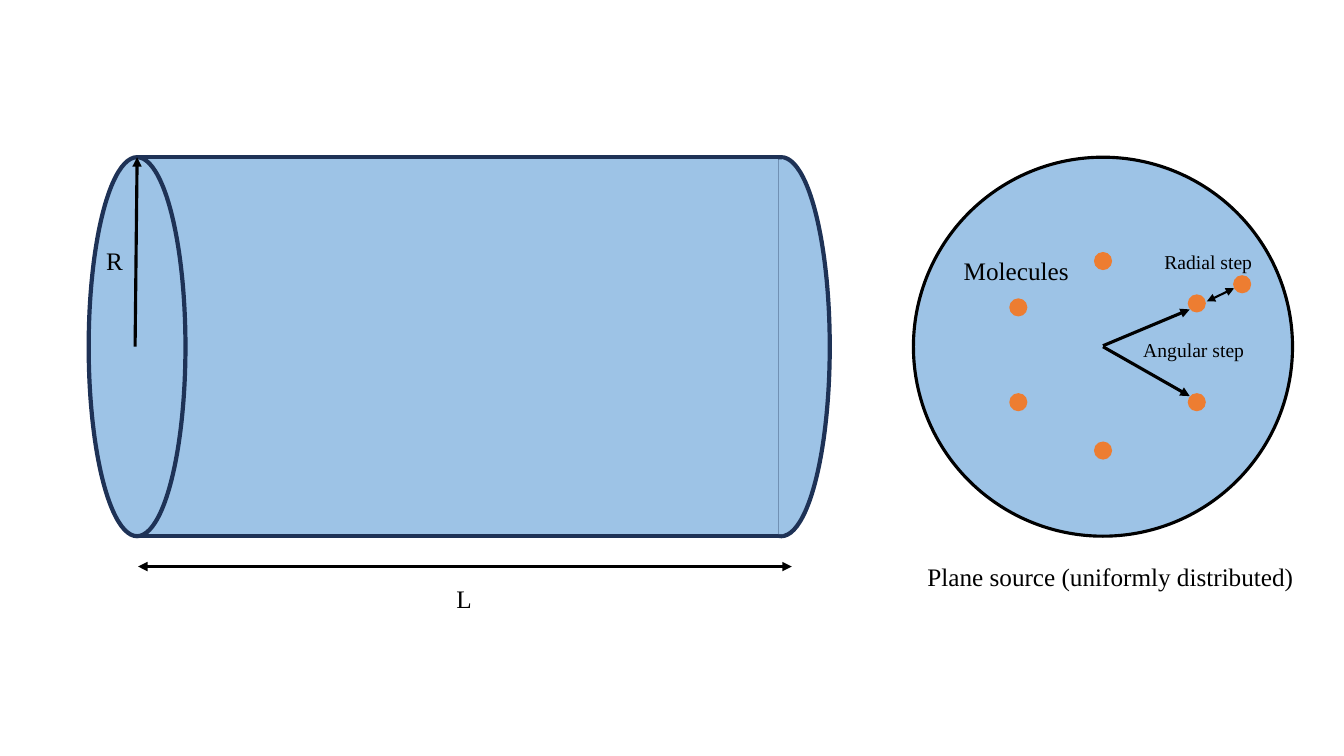
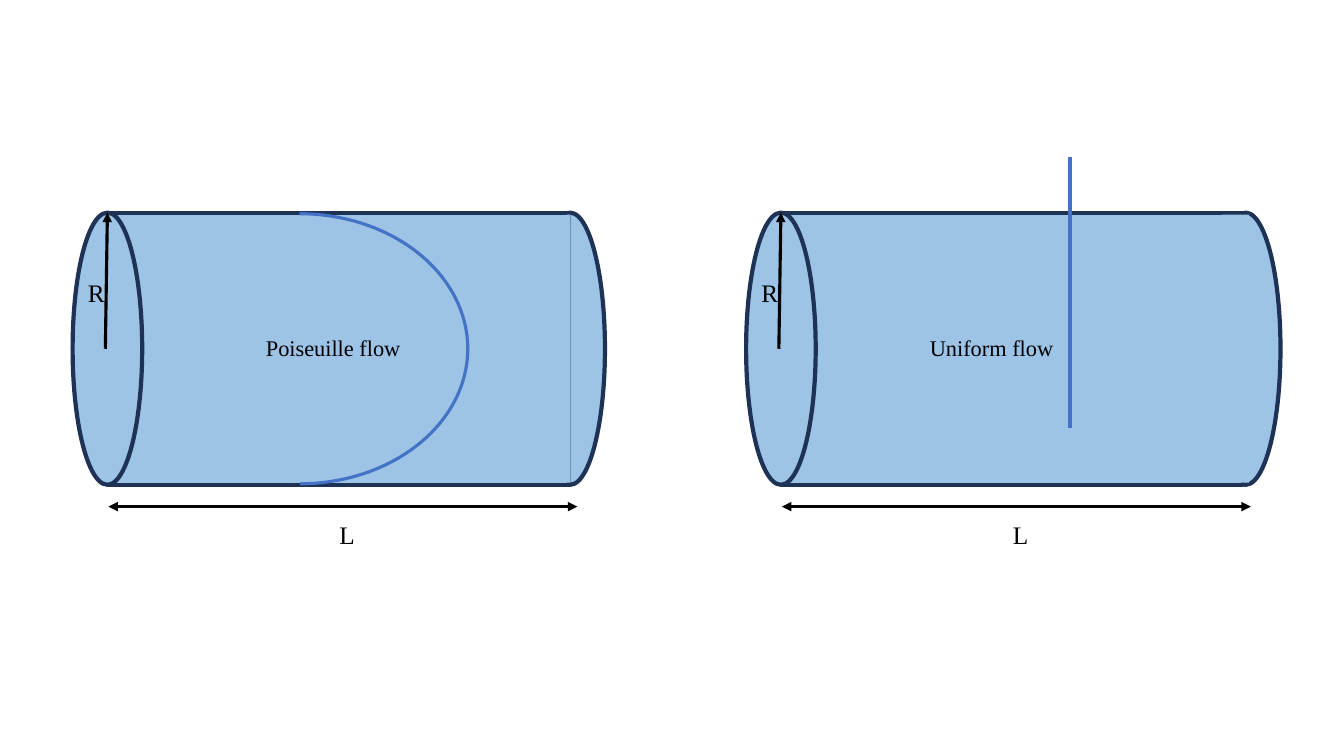
from lxml import etree
from pptx import Presentation
from pptx.dml.color import RGBColor
from pptx.enum.shapes import MSO_CONNECTOR, MSO_SHAPE
from pptx.enum.text import MSO_AUTO_SIZE, PP_ALIGN
from pptx.oxml.ns import qn
from pptx.util import Inches, Pt

ELLIPSE, RECTANGLE, ARC = MSO_SHAPE.OVAL, MSO_SHAPE.RECTANGLE, MSO_SHAPE.ARC
STRAIGHT = MSO_CONNECTOR.STRAIGHT
LEFT, CENTER = PP_ALIGN.LEFT, PP_ALIGN.CENTER
GROW = MSO_AUTO_SIZE.SHAPE_TO_FIT_TEXT

PALE_BLUE = RGBColor(0x9D, 0xC3, 0xE6)
NAVY = RGBColor(0x1E, 0x32, 0x56)
BLUE = RGBColor(0x44, 0x72, 0xC4)
ORANGE = RGBColor(0xED, 0x7D, 0x31)
BLACK = RGBColor(0, 0, 0)
FONT = "Times New Roman"

presentation = Presentation()
presentation.slide_width = Inches(13.33)
presentation.slide_height = Inches(7.5)
COLUMN = presentation.slide_width / 13.33
ROW = presentation.slide_height / 7.5


def grid(*lengths):
    return [round(length * (ROW if index % 2 else COLUMN)) for index, length in enumerate(lengths)]


DOT = 0.18
HEADS = {"none": (), "end": ("tailEnd",), "both": ("headEnd", "tailEnd")}
DOT_CENTERS = [
    (11.87, 3.01), (10.94, 2.59), (10.1, 3.05), (10.1, 3.99),
    (10.94, 4.47), (11.87, 3.99), (12.32, 2.82),
]

source_slide = {
    "tubes": [
        {"left": 0.88, "top": 1.56, "cap": 0.96, "height": 3.76,
         "length": 6.37, "reach": 6.39, "seam": (7.72, 0.05)},
    ],
    "shapes": [(ELLIPSE, (9.06, 1.56, 3.76, 3.76), PALE_BLUE, BLACK, 2.25)] + [
        (ELLIPSE, (x - DOT / 2, y - DOT / 2, DOT, DOT), ORANGE, None, 0)
        for x, y in DOT_CENTERS
    ],
    "lines": [
        ((10.94, 3.44, 11.8, 3.93), BLACK, 2.25, "end"),
        ((10.94, 3.43, 11.8, 3.07), BLACK, 2.25, "end"),
        ((11.97, 2.99, 12.24, 2.86), BLACK, 1.5, "both"),
    ],
    "labels": [
        ("Plane source (uniformly distributed)", (9.1, 5.52, 3.87, 0.4), 18, LEFT),
        ("Molecules", (9.46, 2.48, 1.25, 0.4), 18, LEFT),
        ("Radial step", (11.45, 2.43, 1.08, 0.34), 14, LEFT),
        ("Angular step", (11.24, 3.3, 1.21, 0.34), 14, LEFT),
    ],
}

small_tube = {"top": 2.11, "cap": 0.69, "height": 2.7, "length": 4.57}
flow_slide = {
    "tubes": [
        {**small_tube, "left": 0.72, "reach": 4.59, "seam": (5.62, 0.04)},
        {**small_tube, "left": 7.4, "reach": 4.61, "seam": (12.12, 0.27)},
    ],
    "shapes": [(ARC, (1.3, 2.12, 3.34, 2.68), None, BLUE, 2.25)],
    "lines": [((10.61, 1.56, 10.61, 4.25), BLUE, 3, "none")],
    "labels": [
        ("Poiseuille flow", (2.22, 3.27, 2.17, 0.37), 16, CENTER),
        ("Uniform flow", (8.75, 3.27, 2.17, 0.37), 16, CENTER),
    ],
}

for content in (source_slide, flow_slide):
    slide = presentation.slides.add_slide(presentation.slide_layouts[6])
    shapes, lines, labels = [], [], []

    for tube in content["tubes"]:
        left, top, cap, height = (tube[key] for key in ("left", "top", "cap", "height"))
        length = tube["length"]
        seam_left, seam_width = tube["seam"]
        body = left + cap / 2 + 0.01
        bottom = top + height
        arrow_row = bottom + 0.08 * height
        shapes += [
            (ELLIPSE, (left + tube["reach"], top, cap, height), PALE_BLUE, NAVY, 3),
            (RECTANGLE, (body, top, length, height), PALE_BLUE, NAVY, 3),
            (ELLIPSE, (left, top, cap, height), PALE_BLUE, NAVY, 3),
            (RECTANGLE, (seam_left, top + 0.02, seam_width, height - 0.04), PALE_BLUE, None, 0),
        ]
        lines += [
            ((body, arrow_row, body + length + 0.03 * height, arrow_row), BLACK, 2.25, "both"),
            ((body - 0.03, top + height / 2, body - 0.01, top), BLACK, 2.25, "end"),
        ]
        labels += [
            ("L", (body + 0.48 * length, bottom + 0.11 * height, 0.36, 0.4), 18, LEFT),
            ("R", (left + 0.02 * height, top + 0.22 * height, 0.37, 0.4), 18, LEFT),
        ]

    for preset, box, fill, outline, weight in shapes + content["shapes"]:
        shape = slide.shapes.add_shape(preset, *grid(*box))
        shape.shadow.inherit = False
        if preset == ARC:
            shape.adjustments[0], shape.adjustments[1] = 162, 53.8
        if fill is None:
            shape.fill.background()
        else:
            shape.fill.solid()
            shape.fill.fore_color.rgb = fill
        if outline is None:
            shape.line.fill.background()
        else:
            shape.line.color.rgb = outline
            shape.line.width = Pt(weight)

    for ends, color, weight, heads in lines + content["lines"]:
        connector = slide.shapes.add_connector(STRAIGHT, *grid(*ends))
        connector.line.color.rgb = color
        connector.line.width = Pt(weight)
        properties = connector._element.spPr
        for head in HEADS[heads]:
            etree.SubElement(properties.find(qn("a:ln")), qn(f"a:{head}"), type="triangle")
        etree.SubElement(properties, qn("a:effectLst"))

    for text, box, size, alignment in labels + content["labels"]:
        frame = slide.shapes.add_textbox(*grid(*box)).text_frame
        frame.word_wrap = alignment == CENTER
        frame.auto_size = GROW
        paragraph = frame.paragraphs[0]
        paragraph.alignment = alignment
        run = paragraph.add_run()
        run.text = text
        for name, value in {"name": FONT, "size": Pt(size)}.items():
            setattr(run.font, name, value)
        run.font.color.rgb = BLACK

presentation.save("out.pptx")
